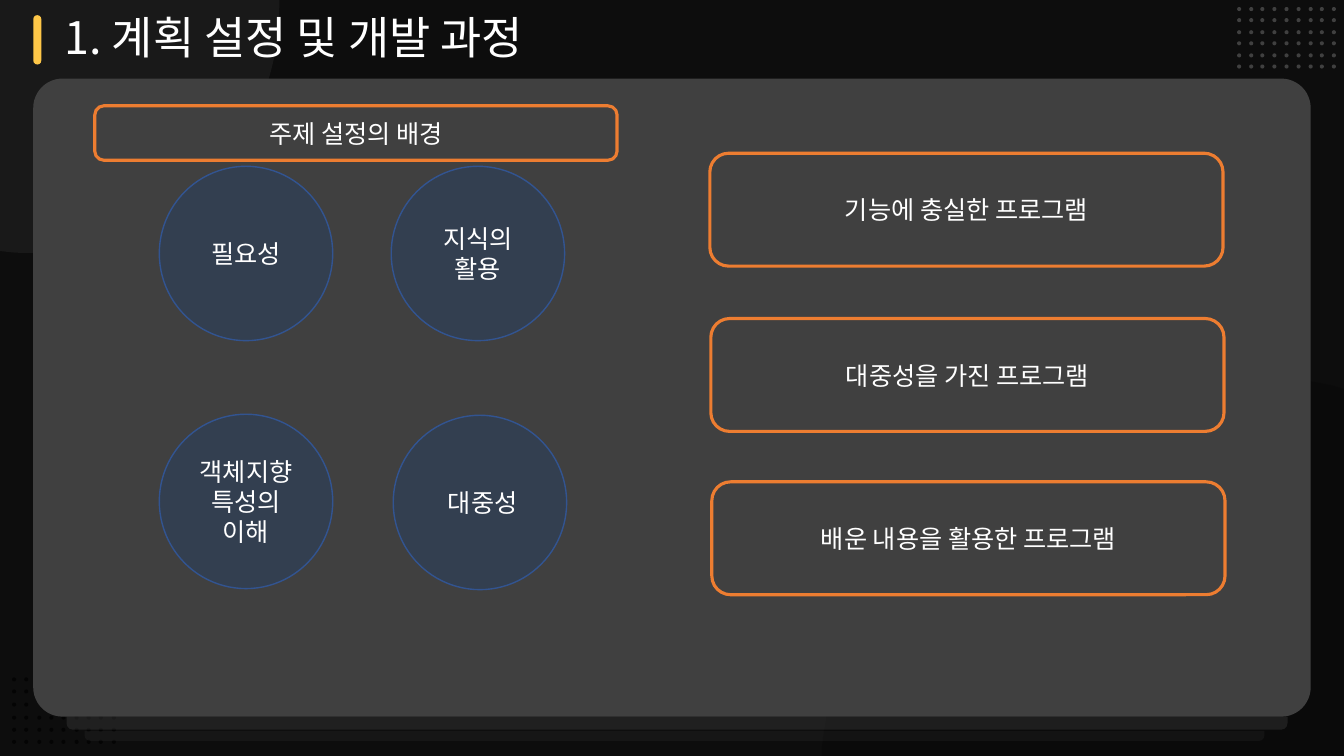
from lxml.etree import SubElement
from pptx import Presentation
from pptx.dml.color import RGBColor
from pptx.enum.shapes import MSO_SHAPE
from pptx.enum.text import MSO_ANCHOR, MSO_AUTO_SIZE, PP_ALIGN
from pptx.oxml.ns import qn
from pptx.util import Pt

PX = 9144  # 100 px to the inch
FONT = "Noto Sans CJK KR"
BACKGROUND = RGBColor(0x0D, 0x0D, 0x0D)
BLACK = RGBColor(0x00, 0x00, 0x00)
WHITE = RGBColor(0xFF, 0xFF, 0xFF)
GRAY = RGBColor(0x40, 0x40, 0x40)
YELLOW = RGBColor(0xFE, 0xC7, 0x48)
ORANGE = RGBColor(0xED, 0x7D, 0x31)
NAVY = RGBColor(0x33, 0x3F, 0x50)
BLUE = RGBColor(0x32, 0x54, 0x91)

TOPICS = [
    (158, 165, "필요성"),
    (388, 165, "지식의 활용"),
    (158, 411, "객체지향 특성의\n이해"),
    (390, 412, " 대중성"),
]
GOALS = [
    (704, 152, "기능에 충실한 프로그램"),
    (705, 316, "대중성을 가진 프로그램"),
    (706, 478, "배운 내용을 활용한 프로그램"),
]


def style_shape(shape, fill=None, opacity=100, line=None, line_width=1):
    shape.shadow.inherit = False
    if fill is None:
        shape.fill.background()
    else:
        shape.fill.solid()
        shape.fill.fore_color.rgb = fill
    if opacity < 100:
        color = shape.fill._xPr.find(qn("a:solidFill"))[0]
        SubElement(color, qn("a:alpha")).set("val", str(opacity * 1000))
    if line is None:
        shape.line.fill.background()
    else:
        shape.line.color.rgb = line
        shape.line.width = Pt(line_width)


def add_box(parent, kind, left, top, width, height, adjustments=(), **style):
    box = parent.shapes.add_shape(kind, left * PX, top * PX, width * PX, height * PX)
    for index, value in enumerate(adjustments):
        box.adjustments[index] = value
    style_shape(box, **style)
    return box


def write_text(shape, text, size, align):
    frame = shape.text_frame
    frame.text = text
    frame.word_wrap = True
    frame.vertical_anchor = MSO_ANCHOR.MIDDLE
    for para in frame.paragraphs:
        para.alignment = align
        para.line_spacing = 1.0
        for span in para.runs:
            span.font.size = Pt(size)
            span.font.name = FONT
            span.font.color.rgb = WHITE


def add_dots(parent, left, top, pitch_x, pitch_y, row_lengths, color, opacity=100):
    for row, length in enumerate(row_lengths):
        for column in range(length):
            add_box(parent, MSO_SHAPE.OVAL, round(left + column * pitch_x),
                    round(top + row * pitch_y), 4, 4, fill=color, opacity=opacity)


def add_outline(parent, points, curve_starts, color, opacity):
    """Close an outline; three points from each index in curve_starts form a Bezier curve."""
    builder = parent.shapes.build_freeform(*points[0], scale=PX)
    builder.add_line_segments(points[1:], close=True)
    outline = builder.convert_to_shape()
    segments = list(outline._element.iter(qn("a:lnTo")))
    for start in curve_starts:
        first, second, last = segments[start - 1:start + 2]
        first.tag = qn("a:cubicBezTo")
        for segment in (second, last):
            first.append(segment[0])
            segment.getparent().remove(segment)
    style_shape(outline, fill=color, opacity=opacity)


def add_backdrop(page):
    backdrop = page.shapes.add_group_shape()
    add_dots(backdrop, 12, 672, 12.33, 12.5, (2, 2, 2, 9, 9, 9), BLACK, 64)
    right_arc = [(1227, 372), (1260, 372), (1293, 376), (1324, 383),
                 (1333, 386), (1333, 750), (815, 750), (815, 743),
                 (836, 535), (1013, 372), (1227, 372)]
    add_outline(backdrop, right_arc, (1, 8), BLACK, 17)
    left_arc = [(0, 0), (277, 0), (277, 7), (277, 142), (168, 251), (33, 251),
                (25, 251), (17, 251), (8, 250), (0, 249)]
    add_outline(backdrop, left_arc, (3, 6), WHITE, 5)
    add_box(backdrop, MSO_SHAPE.ROUNDED_RECTANGLE, 33, 78, 1267, 633, [0.046], fill=GRAY)
    add_box(backdrop, MSO_SHAPE.ROUNDED_RECTANGLE, 33, 15, 8, 49, [0.5], fill=YELLOW)
    add_dots(backdrop, 1227, 7, 11.75, 11.4, [9] * 6, GRAY)
    for left, top, width, height, opacity in ((66, 711, 1211, 13, 39), (84, 725, 1170, 10, 18)):
        add_box(backdrop, MSO_SHAPE.ROUND_2_SAME_RECTANGLE, left, top, width, height, [0, 0.5],
                fill=GRAY, opacity=opacity)


def add_frame(page, left, top, width, height, text):
    frame = add_box(page, MSO_SHAPE.ROUNDED_RECTANGLE, left, top, width, height,
                    line=ORANGE, line_width=2.25)
    write_text(frame, text, 18, PP_ALIGN.CENTER)


def add_topic(page, left, top, text):
    topic = add_box(page, MSO_SHAPE.FLOWCHART_CONNECTOR, left, top, 172, 173,
                    fill=NAVY, line=BLUE)
    write_text(topic, text, 18, PP_ALIGN.CENTER)


def set_title(page, text):
    title = page.shapes.title
    title.left, title.top, title.width, title.height = 54 * PX, 5 * PX, 885 * PX, 64 * PX
    write_text(title, text, 32, PP_ALIGN.LEFT)
    title.text_frame.auto_size = MSO_AUTO_SIZE.SHAPE_TO_FIT_TEXT
    title.text_frame.vertical_anchor = MSO_ANCHOR.TOP


def main():
    deck = Presentation()
    deck.slide_width, deck.slide_height = 1333 * PX, 750 * PX
    page = deck.slides.add_slide(deck.slide_layouts[5])
    page.background.fill.solid()
    page.background.fill.fore_color.rgb = BACKGROUND
    set_title(page, "1. 계획 설정 및 개발 과정")
    add_backdrop(page)
    add_frame(page, 94, 105, 518, 54, "주제 설정의 배경")
    for left, top, text in TOPICS:
        add_topic(page, left, top, text)
    for left, top, text in GOALS:
        add_frame(page, left, top, 509, 112, text)
    deck.save("out.pptx")


if __name__ == "__main__":
    main()
